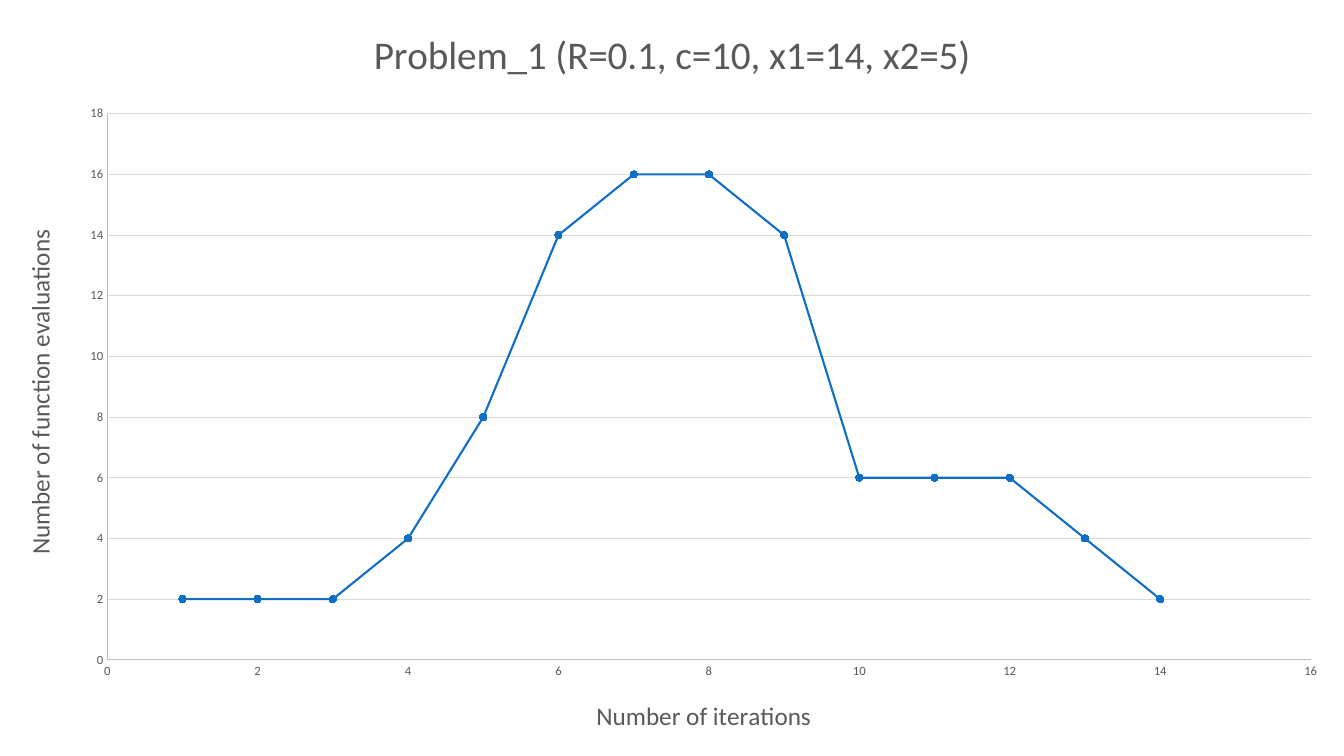
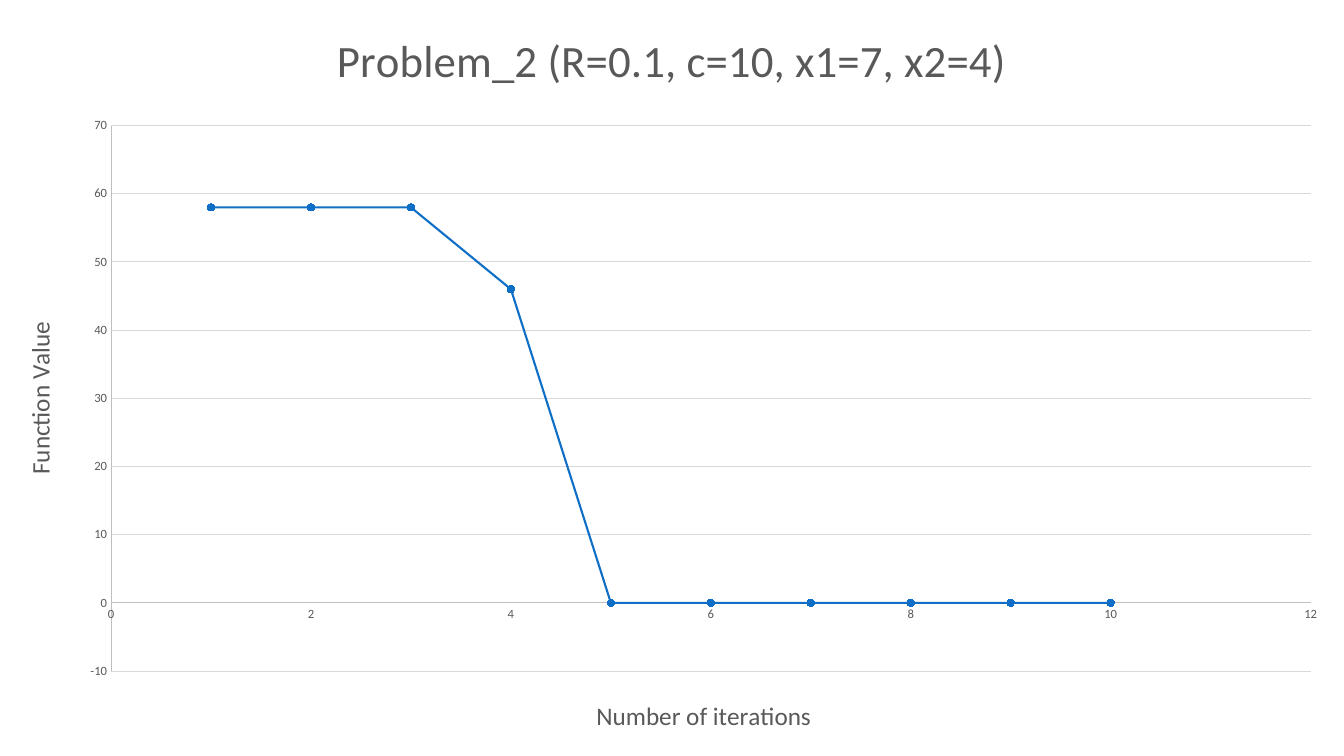
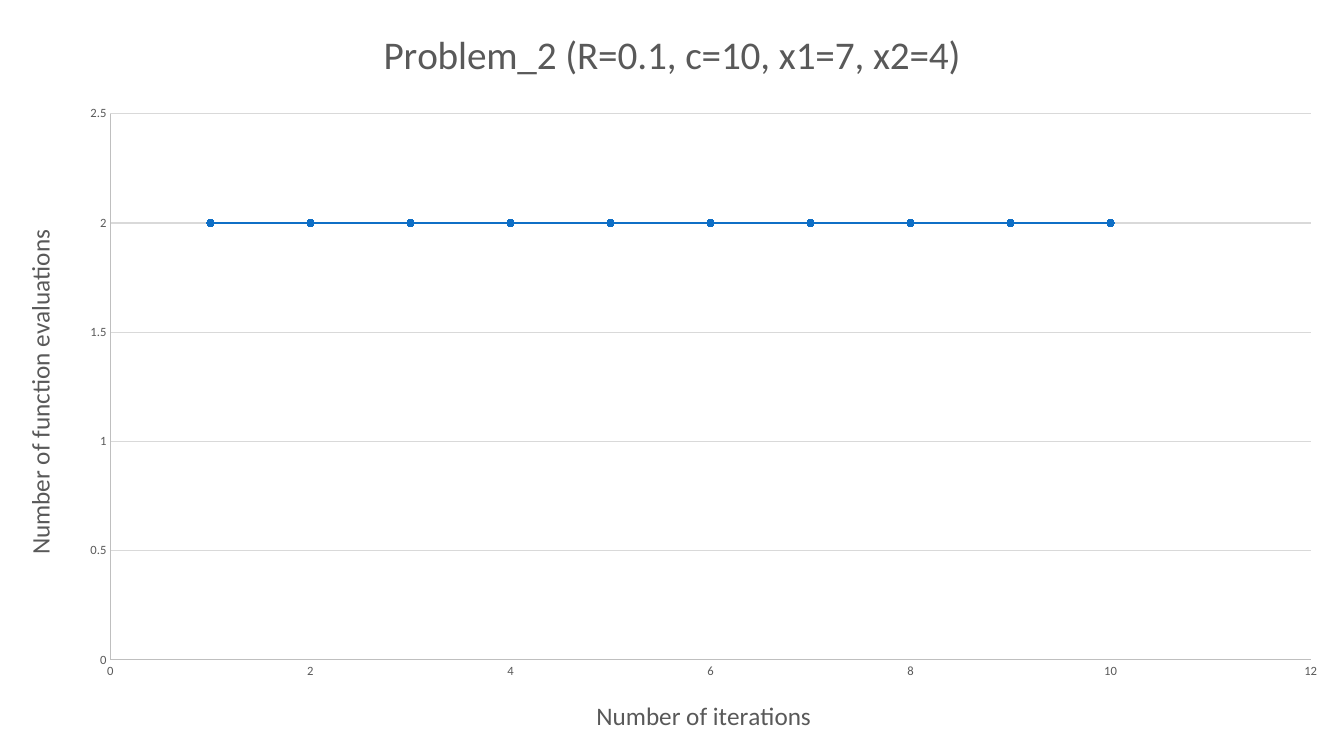
"""Three full-slide scatter charts on the progress of an optimiser."""
from pptx import Presentation
from pptx.chart.data import XyChartData
from pptx.dml.color import RGBColor
from pptx.enum.chart import XL_CHART_TYPE, XL_MARKER_STYLE, XL_TICK_MARK
from pptx.util import Inches, Pt

SCATTER = XL_CHART_TYPE.XY_SCATTER_LINES
CIRCLE = XL_MARKER_STYLE.CIRCLE
NO_TICK = XL_TICK_MARK.NONE
BLANK_LAYOUT = 6
WIDTH, HEIGHT = Inches(13.33), Inches(7.5)
FONT = "Calibri"
COLORS = {"text": "595959", "axis": "BFBFBF", "grid": "D9D9D9", "series": "0F6FC6"}

X_TITLE = "Number of iterations"
EVALUATIONS = "Number of function evaluations"
PROBLEM_1 = "Problem_1 (R=0.1, c=10, x1=14, x2=5)"
PROBLEM_2 = "Problem_2 (R=0.1, c=10, x1=7, x2=4)"


def color(name):
    """Return a palette colour."""
    return RGBColor.from_string(COLORS[name])


def style_font(font, size):
    """Apply the shared chart font at the given size."""
    font.name, font.size, font.bold = FONT, Pt(size), False
    font.color.rgb = color("text")


def style_line(line, name, width=0.75):
    """Set a line's colour and width."""
    line.color.rgb = color(name)
    line.width = Pt(width)


def write_title(tf, text, size):
    """Write a chart or axis title."""
    p = tf.paragraphs[0]
    r = p.add_run()
    r.text = text
    style_font(r.font, size)


def style_axis(axis, title, bounds, step, grid=False):
    """Format an axis, its scale and its title."""
    axis.minimum_scale, axis.maximum_scale = bounds
    axis.major_unit = step
    axis.major_tick_mark = axis.minor_tick_mark = NO_TICK
    axis.has_major_gridlines = grid
    if grid:
        style_line(axis.major_gridlines.format.line, "grid")
    style_line(axis.format.line, "axis")
    style_font(axis.tick_labels.font, 9)
    write_title(axis.axis_title.text_frame, title, 18)


def style_series(series):
    """Draw straight lines with filled round markers."""
    series.smooth = False
    style_line(series.format.line, "series", 1.5)
    marker = series.marker
    marker.style, marker.size = CIRCLE, 5
    marker.format.fill.solid()
    marker.format.fill.fore_color.rgb = color("series")
    style_line(marker.format.line, "series")


def add_chart_slide(prs, title, y_title, values, x_max, y_bounds, y_step, title_size=28):
    """Add a slide filled by one chart of values per iteration."""
    s = prs.slides.add_slide(prs.slide_layouts[BLANK_LAYOUT])
    data = XyChartData()
    points = data.add_series("Series 1")
    for iteration, value in enumerate(values, 1):
        points.add_data_point(iteration, value)
    chart = s.shapes.add_chart(SCATTER, 0, 0, WIDTH, HEIGHT, data).chart
    style_font(chart.font, 10)
    chart.has_legend = False
    chart.plots[0].vary_by_categories = False
    write_title(chart.chart_title.text_frame, title, title_size)
    style_axis(chart.category_axis, X_TITLE, (0, x_max), 2)
    style_axis(chart.value_axis, y_title, y_bounds, y_step, grid=True)
    y_frame = chart.value_axis.axis_title.text_frame
    y_frame._txBody.bodyPr.set("rot", "-5400000")
    style_series(chart.plots[0].series[0])


def main():
    """Build and save the presentation."""
    prs = Presentation()
    prs.slide_width, prs.slide_height = WIDTH, HEIGHT
    add_chart_slide(prs, PROBLEM_1, EVALUATIONS,
                    [2, 2, 2, 4, 8, 14, 16, 16, 14, 6, 6, 6, 4, 2], 16, (0, 18), 2)
    add_chart_slide(prs, PROBLEM_2, "Function Value",
                    [58, 58, 58, 46, 0, 0, 0, 0, 0, 0], 12, (-10, 70), 10,
                    title_size=32)
    add_chart_slide(prs, PROBLEM_2, EVALUATIONS, [2] * 10, 12, (0, 2.5), 0.5)
    prs.save("out.pptx")


main()
